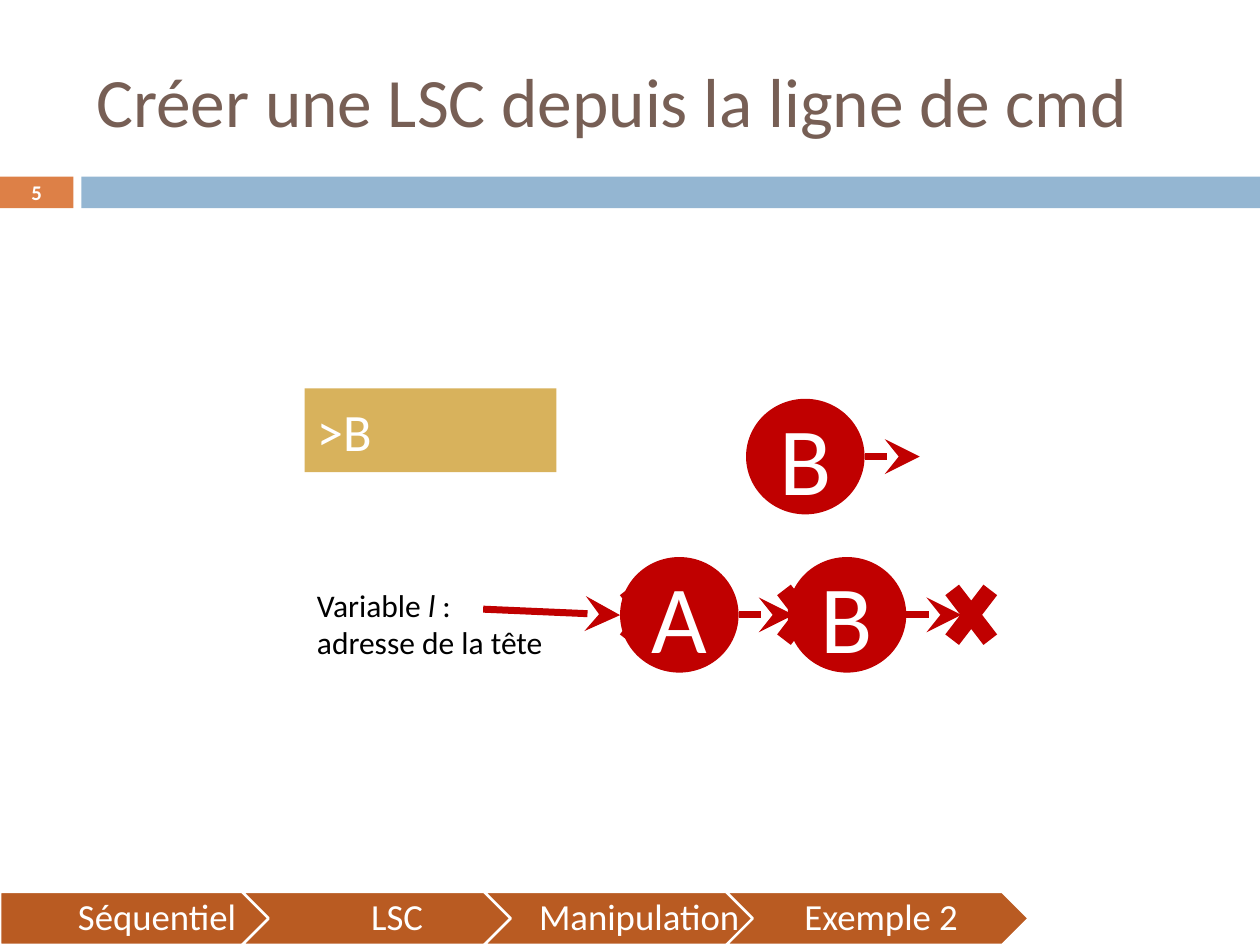
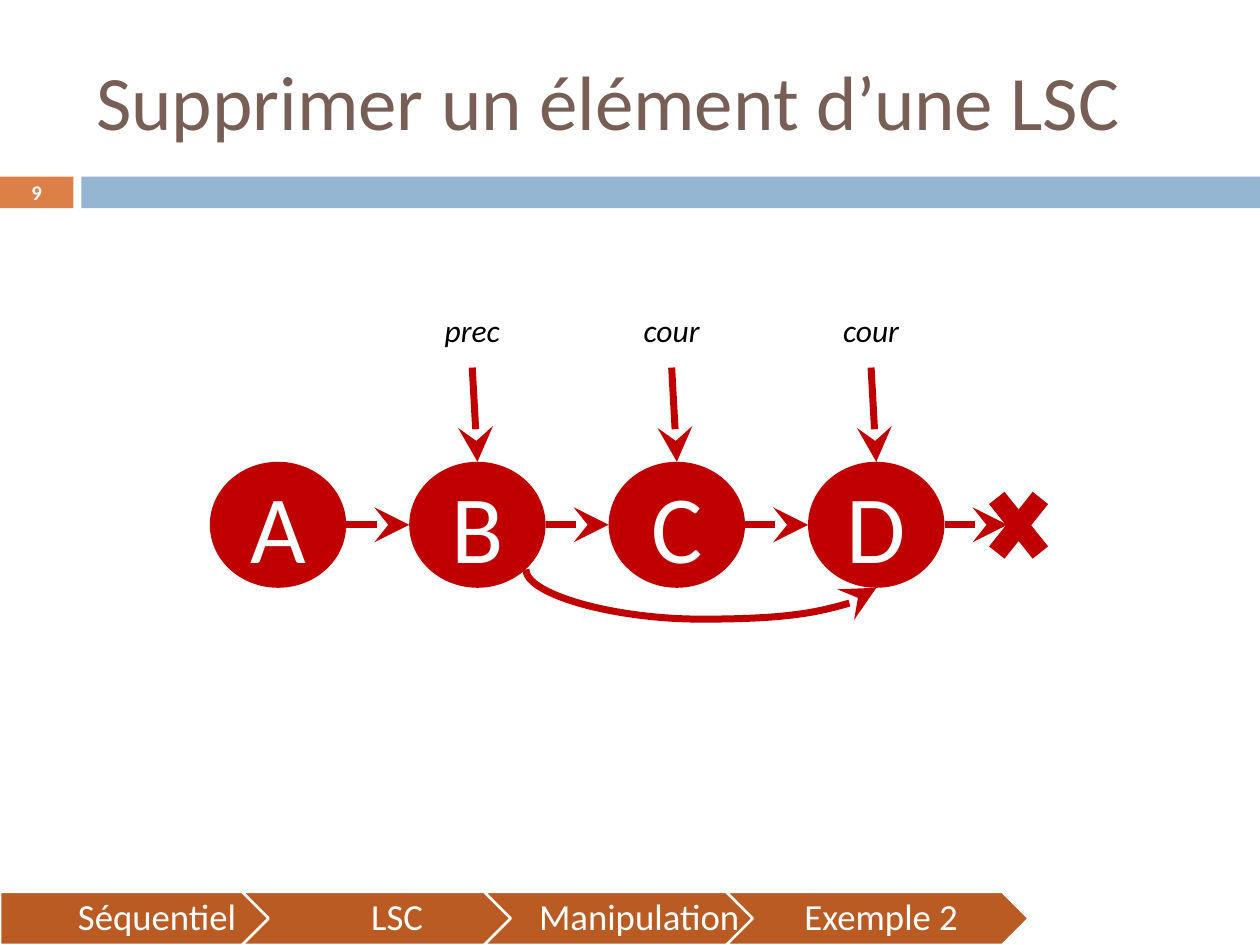
from dataclasses import dataclass

from lxml.etree import SubElement
from pptx import Presentation
from pptx.dml.color import RGBColor
from pptx.enum.shapes import MSO_CONNECTOR as Link, MSO_SHAPE as Shape
from pptx.enum.text import MSO_ANCHOR as Anchor, PP_ALIGN as Align
from pptx.oxml.ns import qn
from pptx.util import Cm, Pt

COLORS = {
    "title": "775F55",
    "number": "DD8047",
    "band": "94B6D2",
    "step": "B95B22",
    "node": "C00000",
    "prompt": "D8B25C",
    "white": "FFFFFF",
    "black": "000000",
}
FONT = "Calibri"
STEPS = ["Séquentiel", "LSC", "Manipulation", "Exemple 2"]
STEP_PITCH = 4.88


@dataclass
class Box:
    x: float
    y: float
    w: float
    h: float

    def lengths(self) -> tuple:
        return Cm(self.x), Cm(self.y), Cm(self.w), Cm(self.h)


@dataclass
class Node:
    label: str
    box: Box
    link_length: float
    link: Link = Link.STRAIGHT

    @property
    def top(self) -> tuple[float, float]:
        return self.box.x + self.box.w / 2, self.box.y

    @property
    def bottom(self) -> tuple[float, float]:
        return self.box.x + self.box.w / 2, self.box.y + self.box.h

    @property
    def right(self) -> tuple[float, float]:
        return self.box.x + self.box.w, self.box.y + self.box.h / 2


def rgb(color: str) -> RGBColor:
    return RGBColor.from_string(COLORS[color])


def style(p, size: float, color: str, align=Align.LEFT, bold=False, italic=False) -> None:
    p.alignment = align
    f = p.font
    f.name, f.size, f.bold, f.italic = FONT, Pt(size), bold, italic
    f.color.rgb = rgb(color)


def add_text(s, box: Box, text: str, size: float, color: str, anchor=Anchor.TOP, **look):
    tf = s.shapes.add_textbox(*box.lengths()).text_frame
    tf.word_wrap = True
    tf.vertical_anchor = anchor
    tf.text = text
    for p in tf.paragraphs:
        style(p, size, color, **look)
    return tf


def add_filled(s, kind: Shape, box: Box, color: str, text="", size=18.0, **look):
    sp = s.shapes.add_shape(kind, *box.lengths())
    sp.shadow.inherit = False
    sp.fill.solid()
    sp.fill.fore_color.rgb = rgb(color)
    sp.line.fill.background()
    if text:
        tf = sp.text_frame
        tf.word_wrap = True
        tf.vertical_anchor = Anchor.MIDDLE
        tf.text = text
        style(tf.paragraphs[0], size, "white", **look)
    return sp


def add_arrow(s, start: tuple[float, float], end: tuple[float, float], kind=Link.STRAIGHT):
    c = s.shapes.add_connector(kind, *map(Cm, (*start, *end)))
    c.line.width = Pt(4)
    c.line.color.rgb = rgb("node")
    spPr = c._element.spPr
    SubElement(spPr.find(qn("a:ln")), qn("a:tailEnd"), type="stealth", w="lg", len="lg")
    SubElement(spPr, qn("a:effectLst"))
    return c


def add_arc_below(s, start: tuple[float, float], end: tuple[float, float], bend: float) -> None:
    mid_x, mid_y = (start[0] + end[0]) / 2, (start[1] + end[1]) / 2
    half_w, half_h = (end[1] - start[1]) / 2, (end[0] - start[0]) / 2
    c = add_arrow(s, (mid_x + half_w, mid_y - half_h), (mid_x - half_w, mid_y + half_h), Link.CURVE)
    spPr = c._element.spPr
    spPr.find(qn("a:xfrm")).set("rot", str(270 * 60000))
    geom = spPr.find(qn("a:prstGeom"))
    guides = geom.find(qn("a:avLst"))
    if guides is None:
        guides = SubElement(geom, qn("a:avLst"))
    SubElement(guides, qn("a:gd"), name="adj1", fmla=f"val {round(bend * 100000)}")


def add_node(s, node: Node) -> None:
    add_filled(s, Shape.OVAL, node.box, "node", node.label, 55, align=Align.CENTER)
    x, y = node.right
    add_arrow(s, (x, y), (x + node.link_length, y), node.link)


def add_end_mark(s, box: Box) -> None:
    add_filled(s, Shape.MATH_MULTIPLY, box, "node")


def add_pointer(s, name: str, node: Node) -> None:
    box = Box(node.box.x - 0.21, 6.14, 2.96, 1.02)
    add_arrow(s, (box.x + box.w / 2, 7.41), node.top)
    add_text(s, box, name, 18, "black", align=Align.CENTER, italic=True)


def add_step(s, i: int, name: str) -> None:
    kind, left = (Shape.CHEVRON, 0.15) if i else (Shape.PENTAGON, 0.5)
    box = Box(i * STEP_PITCH, 17.98, 6.1, 1.07)
    sp = add_filled(s, kind, box, "step", name, 21, align=Align.CENTER)
    sp.line.color.rgb = rgb("white")
    sp.line.width = Pt(1.5)
    tf = sp.text_frame
    tf.margin_left, tf.margin_right = Cm(left), 0
    tf.margin_top = tf.margin_bottom = Cm(0.15)
    tf.paragraphs[0].line_spacing = 0.9


def add_slide(prs, title: str, title_size: float, number: int):
    s = prs.slides.add_slide(prs.slide_layouts[6])
    sp = add_filled(s, Shape.RECTANGLE, Box(0, 3.56, 1.48, 0.64), "number",
                    str(number), 11.9, align=Align.CENTER, bold=True)
    sp.text_frame.margin_top = sp.text_frame.margin_bottom = 0
    add_filled(s, Shape.RECTANGLE, Box(1.64, 3.56, 23.76, 0.64), "band")
    add_text(s, Box(1.69, 0.64, 22.65, 2.75), title, title_size, "title", Anchor.MIDDLE)
    for i, name in enumerate(STEPS):
        add_step(s, i, name)
    return s


def build_creation(prs) -> None:
    s = add_slide(prs, "Créer une LSC depuis la ligne de cmd", 39.6, 5)
    head, new, last = (
        Node(label, Box(x, y, 2.39, 2.33), 1.11)
        for label, x, y in [("A", 12.5, 11.23), ("B", 15.04, 8.04), ("B", 15.88, 11.23)]
    )
    marks = [Box(x, 11.43, 1.48, 1.93) for x in (12.28, 15.45, 18.84)]

    add_end_mark(s, marks[0])
    add_arrow(s, (9.74, 12.28), (12.5, 12.4))
    tf = add_text(s, Box(6.14, 11.68, 5.5, 1.8), "\nadresse de la tête", 18, "black")
    for text, italic in [("Variable ", False), ("l", True), (" :", False)]:
        r = tf.paragraphs[0].add_run()
        r.text = text
        r.font.italic = italic
    add_node(s, head)
    add_end_mark(s, marks[1])
    add_filled(s, Shape.RECTANGLE, Box(6.14, 7.83, 5.08, 1.69), "prompt", ">B", 30)
    add_node(s, new)
    add_node(s, last)
    add_end_mark(s, marks[2])


def build_removal(prs) -> None:
    s = add_slide(prs, "Supprimer un élément d’une LSC", 44, 9)
    nodes = {
        label: Node(label, Box(4.23 + 4.02 * i, 9.31, 2.75, 2.54), 1.27,
                    Link.CURVE if label == "B" else Link.STRAIGHT)
        for i, label in enumerate("ABCD")
    }
    for node in nodes.values():
        add_node(s, node)
    add_end_mark(s, Box(19.69, 9.53, 1.69, 2.12))
    for name, label in [("prec", "B"), ("cour", "C"), ("cour", "D")]:
        add_pointer(s, name, nodes[label])
    add_arc_below(s, (10.6, 11.48), nodes["D"].bottom, 2.71)


prs = Presentation()
prs.slide_width, prs.slide_height = Cm(25.4), Cm(19.05)
build_creation(prs)
build_removal(prs)
prs.save("out.pptx")
